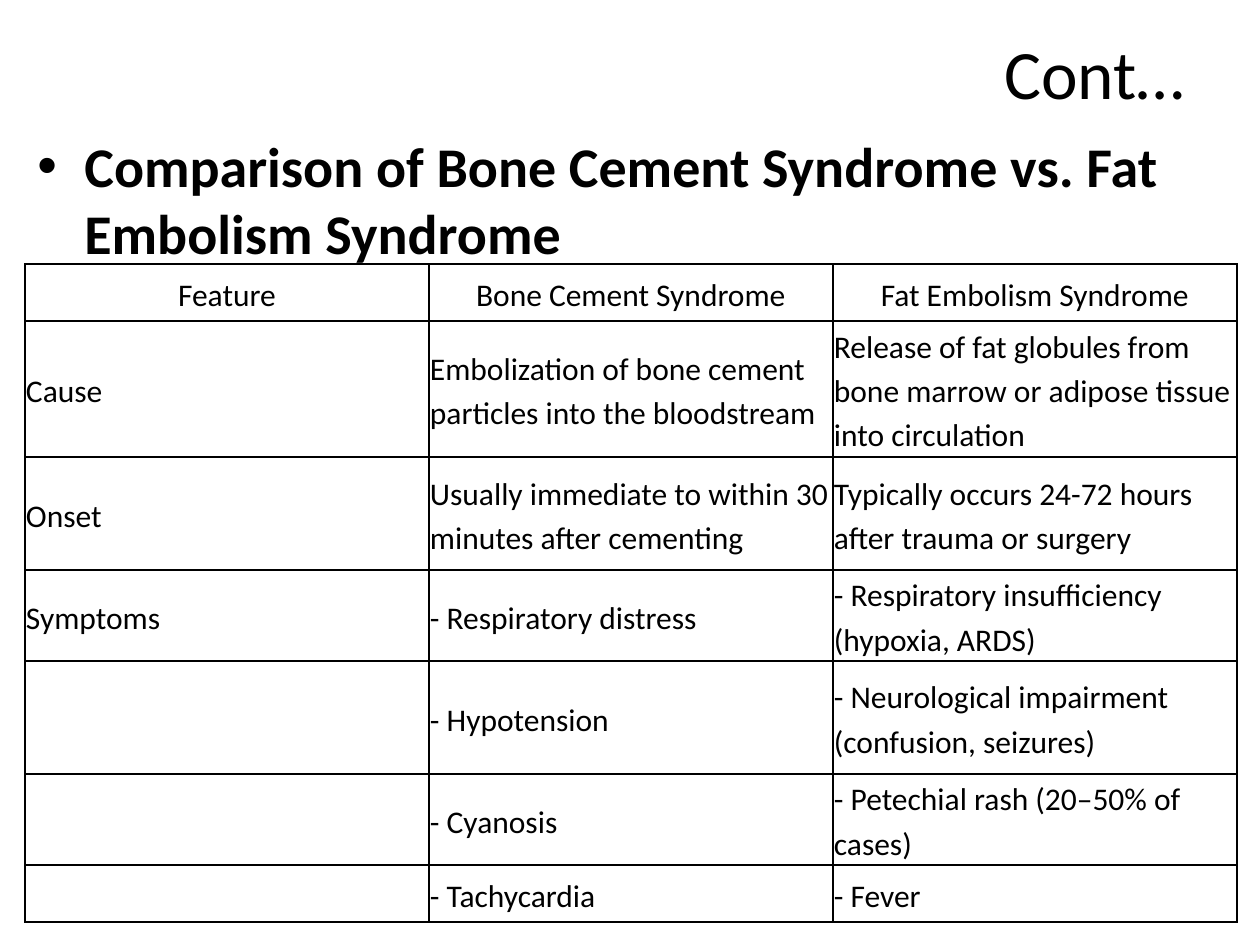
from lxml import etree
from pptx import Presentation
from pptx.dml.color import RGBColor
from pptx.enum.text import MSO_ANCHOR, PP_ALIGN
from pptx.oxml.ns import qn
from pptx.util import Pt

MIDDLE = MSO_ANCHOR.MIDDLE
LEFT, CENTER, RIGHT = PP_ALIGN.LEFT, PP_ALIGN.CENTER, PP_ALIGN.RIGHT
PX = 914400 // 126
FONT = "Calibri"
COLORS = {"text": "000000", "border": "000000"}

ROW_HEIGHTS = [57, 136, 113, 91, 113, 91, 57]
COLUMN_WIDTH = 404
ROWS = [
    ("Feature", "Bone Cement Syndrome", "Fat Embolism Syndrome"),
    ("Cause", "Embolization of bone cement particles into the bloodstream",
     "Release of fat globules from bone marrow or adipose tissue into circulation"),
    ("Onset", "Usually immediate to within 30 minutes after cementing",
     "Typically occurs 24-72 hours after trauma or surgery"),
    ("Symptoms", "- Respiratory distress", "- Respiratory insufficiency (hypoxia, ARDS)"),
    ("", "- Hypotension", "- Neurological impairment (confusion, seizures)"),
    ("", "- Cyanosis", "- Petechial rash (20–50% of cases)"),
    ("", "- Tachycardia", "- Fever"),
]


def style(para, size, bold=False):
    para.font.name = FONT
    para.font.size = Pt(size)
    para.font.bold = bold
    para.font.color.rgb = RGBColor.from_string(COLORS["text"])


def add_borders(cell):
    properties = cell._tc.get_or_add_tcPr()
    for position, side in enumerate(("a:lnL", "a:lnR", "a:lnT", "a:lnB")):
        line = etree.Element(qn(side), w=str(Pt(1)))
        fill = etree.SubElement(line, qn("a:solidFill"))
        etree.SubElement(fill, qn("a:srgbClr"), val=COLORS["border"])
        properties.insert(position, line)


deck = Presentation()
deck.slide_width, deck.slide_height = 1260 * PX, 945 * PX
page = deck.slides.add_slide(deck.slide_layouts[6])

# Title
title = page.shapes.add_textbox(15 * PX, 38 * PX, 1182 * PX, 68 * PX).text_frame
title.word_wrap = True
title.vertical_anchor = MIDDLE
title.text = "Cont…"
title.paragraphs[0].alignment = RIGHT
style(title.paragraphs[0], 39.6)

# Bulleted heading
heading = page.shapes.add_textbox(25 * PX, 125 * PX, 1191 * PX, 719 * PX).text_frame
heading.word_wrap = True
heading.text = "Comparison of Bone Cement Syndrome vs. Fat Embolism Syndrome"
para = heading.paragraphs[0]
indents = para._p.get_or_add_pPr()
indents.set("marL", str(47 * PX))
indents.set("indent", str(-47 * PX))
etree.SubElement(indents, qn("a:buFont"), typeface="Arial")
etree.SubElement(indents, qn("a:buChar"), char="•")
style(para, 32, bold=True)

# Comparison table
table = page.shapes.add_table(
    len(ROWS), 3, 25 * PX, 264 * PX, 3 * COLUMN_WIDTH * PX, sum(ROW_HEIGHTS) * PX
).table
table.first_row = False
table.horz_banding = False
for column in table.columns:
    column.width = COLUMN_WIDTH * PX
for row_index, (texts, height) in enumerate(zip(ROWS, ROW_HEIGHTS)):
    table.rows[row_index].height = height * PX
    for column_index, text in enumerate(texts):
        cell = table.cell(row_index, column_index)
        cell.margin_left = cell.margin_right = PX
        cell.margin_top = cell.margin_bottom = PX
        cell.vertical_anchor = MIDDLE
        cell.fill.background()
        add_borders(cell)
        cell.text_frame.text = text
        para = cell.text_frame.paragraphs[0]
        para.alignment = CENTER if row_index == 0 else LEFT
        para.line_spacing = 1.15
        style(para, 18)

deck.save("out.pptx")
